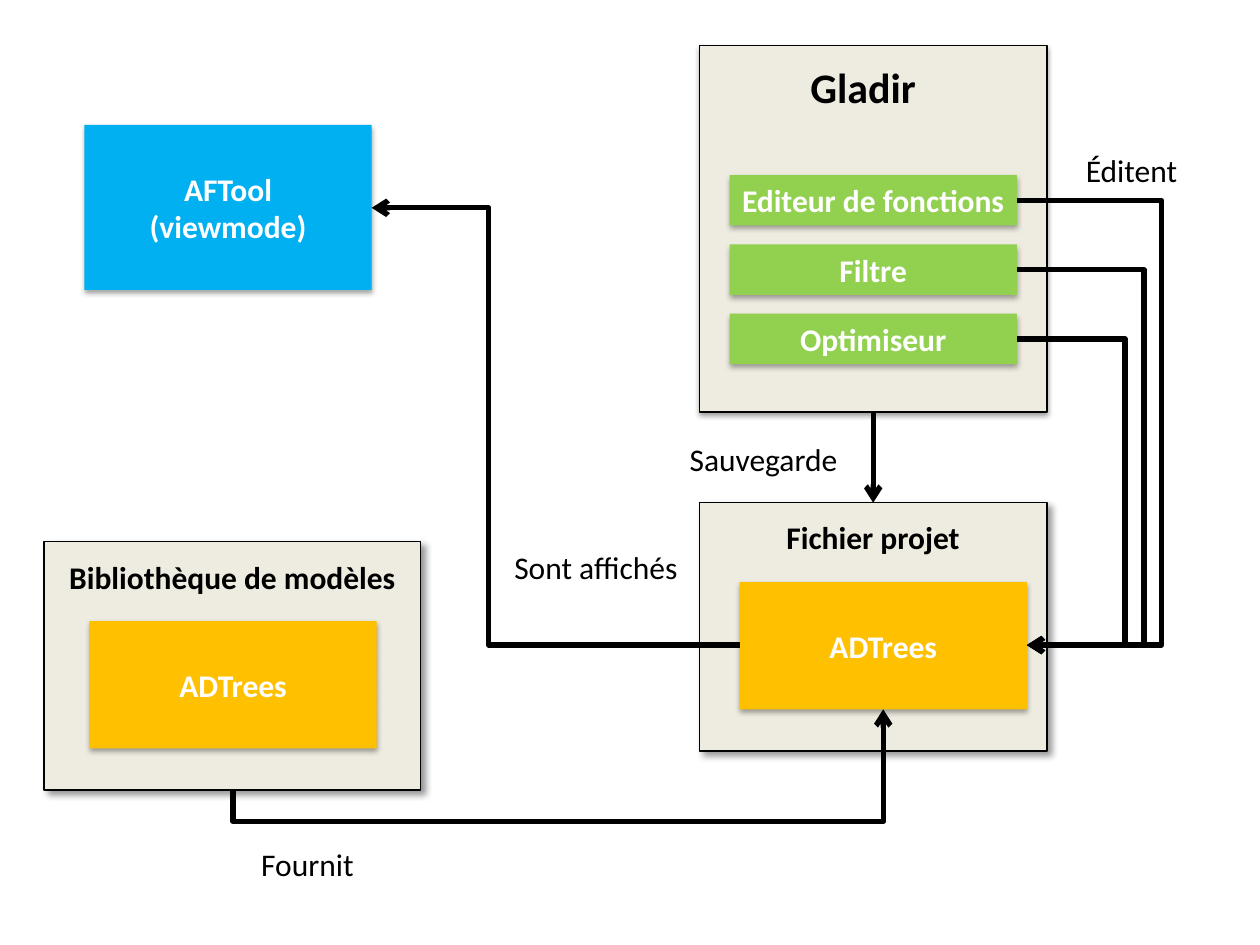
from lxml.etree import SubElement
from pptx import Presentation
from pptx.dml.color import RGBColor
from pptx.enum.shapes import MSO_CONNECTOR, MSO_SHAPE
from pptx.enum.text import MSO_ANCHOR, PP_ALIGN
from pptx.oxml.ns import qn
from pptx.util import Inches, Pt

COLORS = {"blue": "00B0F0", "green": "92D050", "gold": "FFC000",
          "panel": "EEECE1", "black": "000000", "white": "FFFFFF"}
# Shadows: opacity %, blur pt, distance pt, direction in degrees
SOFT = (35, 3.1, 1.8, 90)
FRAME = (38, 3.1, 1.6, 90)
DIAGONAL = (40, 4, 3, 45)


def color(name):
    return RGBColor.from_string(COLORS[name])


class Diagram:
    """Holds the style and the slide being drawn."""

    font = "Calibri"
    size = 18
    line_width = 3
    frame_format = {"word_wrap": True, "margin_left": Inches(0.05),
                    "margin_right": Inches(0.05)}

    def __init__(self, page):
        self.page = page

    def fill_text(self, shape, lines, ink, bold, size, anchor):
        frame = shape.text_frame
        for name, value in {**self.frame_format, "vertical_anchor": anchor}.items():
            setattr(frame, name, value)
        for index, line in enumerate(lines.split("\n")):
            para = frame.add_paragraph() if index else frame.paragraphs[0]
            para.alignment = PP_ALIGN.CENTER
            span = para.add_run()
            span.text = line
            for name, value in {"name": self.font, "size": Pt(size), "bold": bold}.items():
                setattr(span.font, name, value)
            span.font.color.rgb = color(ink)

    def rectangle(self, left, top, width, height, fill, shadow, outline=False):
        box = self.page.shapes.add_shape(
            MSO_SHAPE.RECTANGLE, *map(Inches, (left, top, width, height)))
        box.fill.solid()
        box.fill.fore_color.rgb = color(fill)
        if outline:
            box.line.color.rgb = color("black")
            box.line.width = Pt(0.75)
        else:
            box.line.fill.background()
        self.cast_shadow(box, *shadow)
        return box

    def cast_shadow(self, box, opacity, blur, distance, angle):
        box.shadow.inherit = False
        effects = box._element.spPr.find(qn("a:effectLst"))
        outer = SubElement(effects, qn("a:outerShdw"), blurRad=str(Pt(blur)),
                           dist=str(Pt(distance)), dir=str(angle * 60000),
                           rotWithShape="0")
        tint = SubElement(outer, qn("a:srgbClr"), val=COLORS["black"])
        SubElement(tint, qn("a:alpha"), val=str(opacity * 1000))

    def panel(self, left, top, width, height, shadow):
        self.rectangle(left, top, width, height, "panel", shadow, outline=True)

    def block(self, text, left, top, height, fill, width=2.28):
        box = self.rectangle(left, top, width, height, fill, SOFT)
        self.fill_text(box, text, "white", True, self.size, MSO_ANCHOR.MIDDLE)

    def label(self, text, left, top, width, height=0.4, bold=False, size=size):
        box = self.page.shapes.add_textbox(*map(Inches, (left, top, width, height)))
        self.fill_text(box, text, "black", bold, size, MSO_ANCHOR.TOP)

    def arrow(self, start, end, kind=MSO_CONNECTOR.STRAIGHT):
        link = self.page.shapes.add_connector(kind, *map(Inches, (*start, *end)))
        link.line.width = Pt(self.line_width)
        link.line.color.rgb = color("black")
        properties = link._element.spPr
        SubElement(properties.find(qn("a:ln")), qn("a:tailEnd"), type="arrow")
        SubElement(properties, qn("a:effectLst"))
        return link

    def elbow(self, start, end, bend, vertical=False):
        """Arrow with its middle leg at x = bend, or at y = bend if vertical."""
        axis = 1 if vertical else 0
        ratio = (bend - start[axis]) / (end[axis] - start[axis])
        if vertical:  # turn the ends back, then rotate the whole connector
            x, y = ((a + b) / 2 for a, b in zip(start, end))
            start, end = ((x + b - y, y - a + x) for a, b in (start, end))
        link = self.arrow(start, end, MSO_CONNECTOR.ELBOW)
        properties = link._element.spPr
        if vertical:
            properties.find(qn("a:xfrm")).set("rot", str(90 * 60000))
        geometry = properties.find(qn("a:prstGeom"))
        guides = geometry.find(qn("a:avLst"))
        if guides is None:
            guides = SubElement(geometry, qn("a:avLst"))
        SubElement(guides, qn("a:gd"), name="adj1", fmla=f"val {round(ratio * 100000)}")


def main():
    deck = Presentation()
    deck.slide_width, deck.slide_height = Inches(10), Inches(7.5)
    diagram = Diagram(deck.slides.add_slide(deck.slide_layouts[6]))

    # Viewer
    diagram.block("AFTool\n(viewmode)", 0.67, 0.99, 1.31, "blue")

    # Project file
    diagram.panel(5.55, 3.99, 2.76, 1.97, DIAGONAL)
    diagram.label("Fichier projet", 5.55, 4.06, 2.76, bold=True)
    diagram.block("ADTrees", 5.87, 4.62, 1.01, "gold")

    # Main application and its modules
    diagram.panel(5.55, 0.36, 2.76, 2.91, FRAME)
    diagram.label("Gladir", 5.55, 0.44, 2.6, 0.5, bold=True, size=24)
    modules = ("Editeur de fonctions", "Filtre", "Optimiseur")
    module_tops = [1.39 + 0.55 * row for row in range(len(modules))]
    for name, top in zip(modules, module_tops):
        diagram.block(name, 5.79, top, 0.4, "green")

    # Model library
    diagram.panel(0.35, 4.3, 2.99, 1.97, DIAGONAL)
    diagram.label("Bibliothèque de modèles", 0.39, 4.38, 2.91, bold=True)
    diagram.block("ADTrees", 0.71, 4.93, 1.01, "gold")

    # Arrows
    diagram.elbow((5.87, 5.12), (2.95, 1.65), bend=3.88)
    for top, bend in zip(module_tops, (9.22, 9.08, 8.93)):
        diagram.elbow((8.07, top + 0.2), (8.15, 5.12), bend)
    diagram.elbow((1.85, 6.27), (7.01, 5.63), bend=6.52, vertical=True)
    diagram.arrow((6.93, 3.28), (6.93, 3.99))

    # Arrow labels
    diagram.label("Éditent", 8.39, 1.15, 1.18)
    diagram.label("Fournit", 1.85, 6.66, 1.18)
    diagram.label("Sont affichés", 3.98, 4.3, 1.5)
    diagram.label("Sauvegarde", 5.31, 3.44, 1.5)

    deck.save("out.pptx")


if __name__ == "__main__":
    main()
